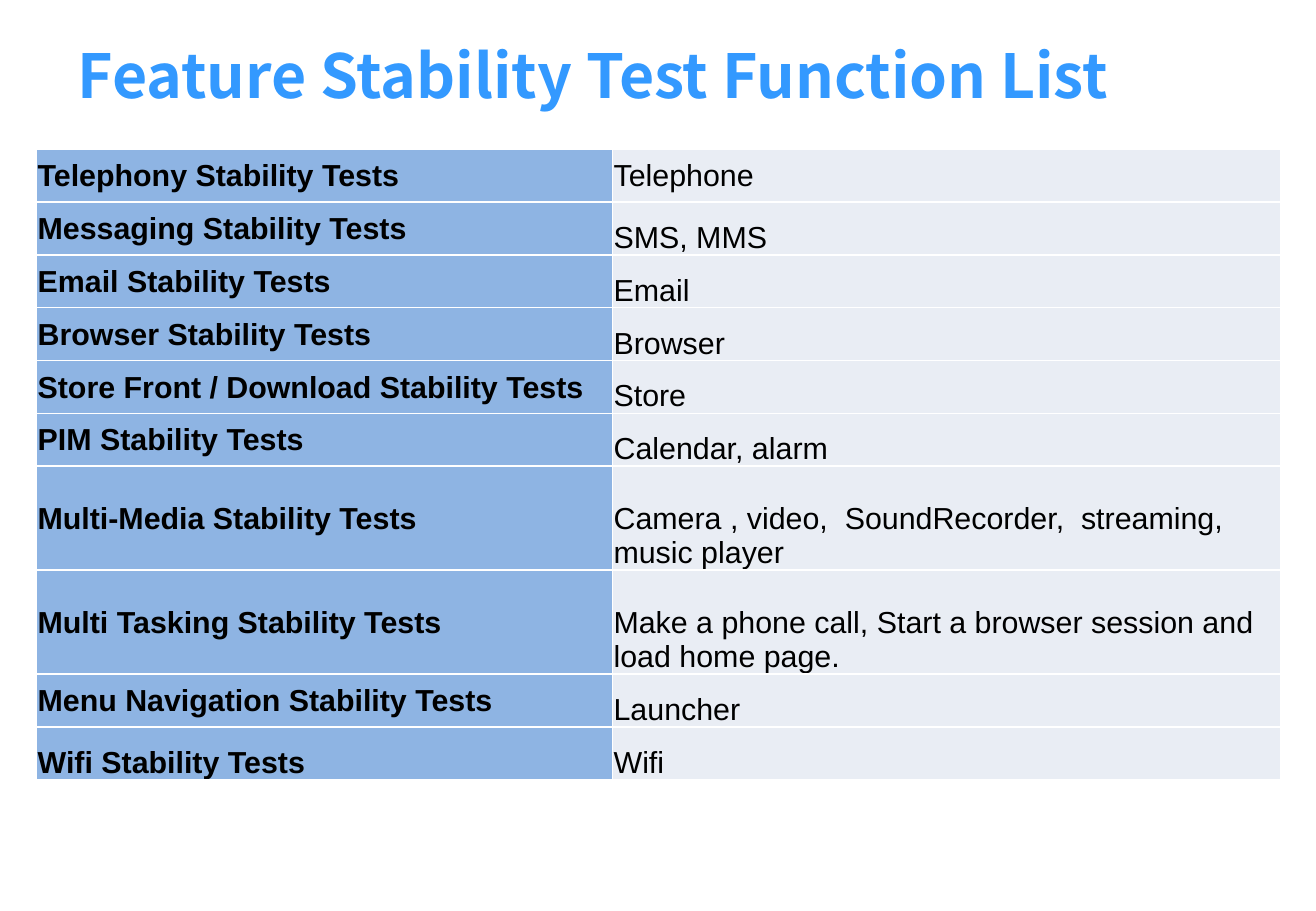
from dataclasses import dataclass

from lxml.etree import SubElement as Sub
from pptx import Presentation
from pptx.dml.color import RGBColor as RGB
from pptx.enum.text import MSO_ANCHOR as Anchor, PP_ALIGN as Align
from pptx.oxml.ns import qn
from pptx.util import Inches, Pt


@dataclass(frozen=True)
class Theme:
    title: str = "3399FF"
    ink: str = "000000"
    head: str = "8EB4E3"
    body: str = "E9EDF4"
    rule: str = "FFFFFF"
    head_font: str = "Noto Sans CJK SC"
    body_font: str = "Arial"
    title_size: int = 36
    body_size: int = 18


MID, LOW = Anchor.MIDDLE, Anchor.BOTTOM

# Test, functions, anchors of both cells, relative row height
TESTS = [
    ("Telephony Stability Tests", "Telephone", MID, MID, 1),
    ("Messaging Stability Tests", "SMS, MMS", MID, LOW, 1),
    ("Email Stability Tests", "Email", MID, LOW, 1),
    ("Browser Stability Tests", "Browser", MID, LOW, 1),
    ("Store Front / Download Stability Tests", "Store", MID, LOW, 1),
    ("PIM Stability Tests", "Calendar, alarm", MID, LOW, 1),
    ("Multi-Media Stability Tests",
     "Camera , video,  SoundRecorder,  streaming,  music player", MID, LOW, 1.97),
    ("Multi Tasking Stability Tests",
     "Make a phone call, Start a browser session and load home page.", MID, LOW, 1.97),
    ("Menu Navigation Stability Tests", "Launcher", MID, LOW, 1),
    ("Wifi Stability Tests", "Wifi", LOW, LOW, 1),
]


def write(frame, text, *, font, size, color, bold=False):
    par = frame.paragraphs[0]
    par.alignment = Align.LEFT
    run = par.add_run()
    run.text = text
    run.font.name, run.font.size, run.font.bold = font, Pt(size), bold
    run.font.color.rgb = RGB.from_string(color)


class Page:
    def __init__(self, deck, theme):
        self.theme = theme
        self.slide = deck.slides.add_slide(deck.slide_layouts[5])

    def title(self, text, left, top, width, height):
        box = self.slide.shapes.title
        box.left, box.top = Inches(left), Inches(top)
        box.width, box.height = Inches(width), Inches(height)
        frame = box.text_frame
        frame.word_wrap, frame.vertical_anchor = True, MID
        write(frame, text, font=self.theme.head_font, size=self.theme.title_size,
              color=self.theme.title, bold=True)

    def edge(self, cell):
        props = cell._tc.get_or_add_tcPr()
        for side in "LRTB":
            line = Sub(props, qn(f"a:ln{side}"), w=str(Pt(1)))
            Sub(Sub(line, qn("a:solidFill")), qn("a:srgbClr"), val=self.theme.rule)

    def cell(self, cell, text, fill, anchor, bold):
        self.edge(cell)
        cell.fill.solid()
        cell.fill.fore_color.rgb = RGB.from_string(fill)
        cell.margin_left = cell.margin_right = cell.margin_top = Inches(0.01)
        cell.margin_bottom = 0
        cell.vertical_anchor = anchor
        write(cell.text_frame, text, font=self.theme.body_font,
              size=self.theme.body_size, color=self.theme.ink, bold=bold)

    def table(self, rows, left, top, widths, height):
        grid = self.slide.shapes.add_table(
            len(rows), len(widths), Inches(left), Inches(top),
            Inches(sum(widths)), Inches(height)).table
        grid.first_row = grid.horz_banding = False
        for col, width in zip(grid.columns, widths):
            col.width = Inches(width)
        unit = height / sum(row[-1] for row in rows)
        for i, (test, uses, near, far, share) in enumerate(rows):
            grid.rows[i].height = Inches(unit * share)
            self.cell(grid.cell(i, 0), test, self.theme.head, near, True)
            self.cell(grid.cell(i, 1), uses, self.theme.body, far, False)


def main():
    deck = Presentation()
    deck.slide_width, deck.slide_height = Inches(10.83), Inches(7.5)
    page = Page(deck, Theme())

    # Heading
    page.title("Feature Stability Test Function List", 0.54, 0.17, 9.75, 0.88)

    # Tests and the functions they cover
    page.table(TESTS, 0.3, 1.23, (4.74, 5.5), 5.19)

    deck.save("out.pptx")


if __name__ == "__main__":
    main()
